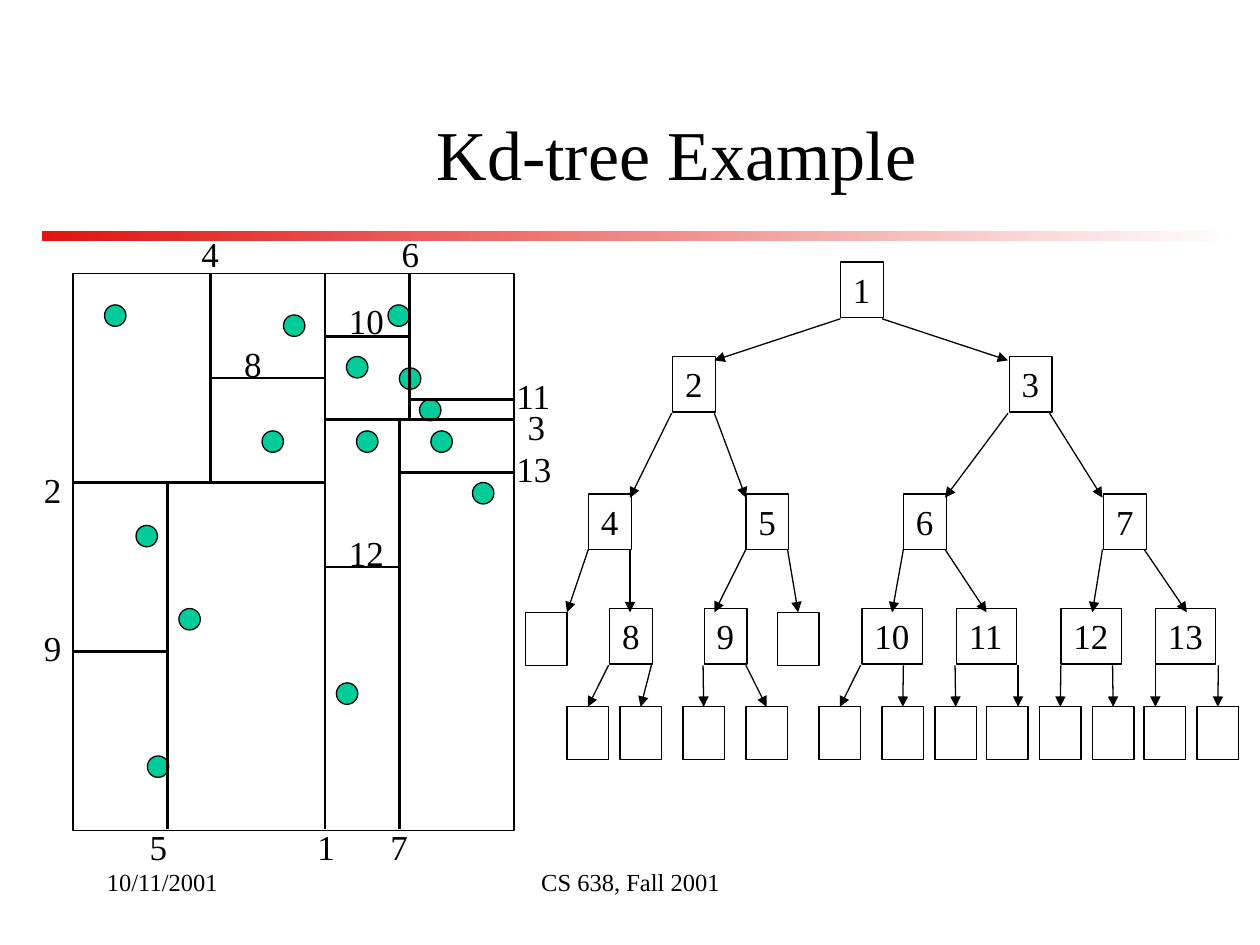
"""Build the Kd-tree example slide: a split plane on the left and its tree on the right."""
from pptx import Presentation
from pptx.dml.color import RGBColor
from pptx.enum.shapes import MSO_CONNECTOR as Connector, MSO_SHAPE as Shape
from pptx.enum.text import MSO_ANCHOR as Anchor, MSO_AUTO_SIZE as AutoSize, PP_ALIGN as Align
from pptx.oxml.ns import qn
from pptx.util import Inches, Pt
from lxml.etree import SubElement


def write(holder, text, size, align=Align.LEFT, anchor=Anchor.TOP, fit=False):
    frame = holder.text_frame
    layout = {"word_wrap": not fit, "vertical_anchor": anchor,
              "auto_size": AutoSize.SHAPE_TO_FIT_TEXT if fit else AutoSize.NONE}
    for key, value in layout.items():
        setattr(frame, key, value)
    paragraph = frame.paragraphs[0]
    paragraph.alignment = align
    run = paragraph.add_run()
    run.text = text
    for key, value in {"name": "Times New Roman", "size": Pt(size)}.items():
        setattr(run.font, key, value)
    run.font.color.rgb = RGBColor.from_string("000000")


def draw(kind, ends, weight=0.75, fill=None):
    lengths = [Inches(value) for value in ends]
    if kind is Connector.STRAIGHT:
        item = shapes.add_connector(kind, *lengths)
        SubElement(item._element.spPr, qn("a:effectLst"))
    else:
        item = shapes.add_shape(kind, *lengths)
        item.shadow.inherit = False
        if fill:
            item.fill.solid()
            item.fill.fore_color.rgb = RGBColor.from_string(fill)
        else:
            item.fill.background()
    item.line.color.rgb = RGBColor.from_string("000000")
    item.line.width = Pt(weight)
    return item


deck = Presentation()
deck.slide_width, deck.slide_height = Inches(10), Inches(7.5)
shapes = deck.slides.add_slide(deck.slide_layouts[6]).shapes

rule = draw(Shape.RECTANGLE, (0.33, 1.83, 9.5, 0.08))
rule.line.fill.background()
rule.fill.gradient()
rule.fill.gradient_angle = 0
for stop, (position, color) in zip(rule.fill.gradient_stops, [(0, "DF140F"), (1, "FFFFFF")]):
    stop.position = position
    stop.color.rgb = RGBColor.from_string(color)

captions = [
    ("Kd-tree Example", (1.33, 0.67, 8.08, 1.08), 40, Align.CENTER, Anchor.MIDDLE),
    ("CS 638, Fall 2001", (3.42, 6.83, 3.17, 0.5), 14, Align.CENTER, Anchor.TOP),
    ("10/11/2001", (0.75, 6.83, 2.08, 0.5), 14, Align.LEFT, Anchor.TOP),
]
for text, place, size, align, anchor in captions:
    write(shapes.add_textbox(*map(Inches, place)), text, size, align, anchor)

draw(Shape.RECTANGLE, (0.58, 2.17, 3.5, 4.42))
points = [(0.83, 2.42), (2.75, 2.83), (1.17, 6), (1.42, 4.83), (3.75, 3.83), (3.42, 3.42),
          (1.08, 4.17), (2.67, 5.42), (3.17, 2.92), (2.83, 3.42), (3.08, 2.42),
          (3.33, 3.17), (2.08, 3.42), (2.25, 2.5)]
for left, top in points:
    draw(Shape.OVAL, (left, top, 0.17, 0.17), fill="00CC99")

splits = {
    1: ((2.58, 2.17, 2.58, 6.58), (2.42, 6.5)),
    2: ((0.58, 3.83, 2.58, 3.83), (0.25, 3.67)),
    3: ((2.58, 3.33, 4.08, 3.33), (4.09, 3.17)),
    4: ((1.67, 2.17, 1.67, 3.83), (1.5, 1.8)),
    5: ((1.33, 3.83, 1.33, 6.58), (1.09, 6.5)),
    6: ((3.25, 2.17, 3.25, 3.33), (3.09, 1.8)),
    7: ((3.17, 3.33, 3.17, 6.58), (3, 6.5)),
    8: ((1.67, 3, 2.58, 3), (1.84, 2.67)),
    9: ((1.33, 5.17, 0.58, 5.17), (0.25, 4.92)),
    10: ((2.58, 2.67, 3.25, 2.67), (2.67, 2.33)),
    11: ((3.25, 3.17, 4.08, 3.17), (4, 2.92)),
    12: ((2.58, 4.5, 3.17, 4.5), (2.67, 4.17)),
    13: ((3.17, 3.75, 4.08, 3.75), (4, 3.5)),
}
for number, (ends, (left, top)) in splits.items():
    draw(Connector.STRAIGHT, ends, weight=1.5)
    width = 0.34 if number < 10 else 0.48
    label = shapes.add_textbox(*map(Inches, (left, top, width, 0.44)))
    write(label, str(number), 20, fit=True)

node_rows = [
    (2.08, [6.67]),
    (2.83, [5.34, 8.01]),
    (3.92, [4.67, 5.92, 7.17, 8.76]),
    (4.83, [4.84, 5.59, 6.84, 7.59, 8.42, 9.17]),
]
number = 0
for top, lefts in node_rows:
    for left in lefts:
        number += 1
        width = 0.34 if number < 10 else 0.48
        node = draw(Shape.RECTANGLE, (left, top, width, 0.44))
        write(node, str(number), 20, fit=True)

leaf_rows = [
    (4.86, [4.17, 6.17]),
    (5.61, [4.5, 4.92, 5.42, 5.92, 6.5, 7, 7.42, 7.83, 8.25, 8.67, 9.08, 9.5]),
]
leaves = [draw(Shape.RECTANGLE, (left, top, 0.33, 0.42))
          for top, lefts in leaf_rows for left in lefts]

branch_rows = [
    (2.53, 2.86, [(6.67, 5.67), (7, 8)]),
    (3.28, 3.95, [(5.33, 5), (5.67, 5.92), (8, 7.5), (8.33, 8.75)]),
    (4.36, 4.86, [(4.67, 4.5), (5, 5), (5.92, 5.67), (6.25, 6.33),
                  (7.17, 7.08), (7.5, 7.83), (8.75, 8.67), (9.08, 9.42)]),
    (5.28, 5.61, [(4.83, 4.67), (5.17, 5.08), (5.58, 5.58), (5.92, 6.08),
                  (6.83, 6.67), (7.17, 7.17), (7.58, 7.58), (8.08, 8.08),
                  (8.42, 8.42), (8.83, 8.83), (9.17, 9.17), (9.67, 9.67)]),
]
for start_y, end_y, spans in branch_rows:
    for start_x, end_x in spans:
        branch = draw(Connector.STRAIGHT, (start_x, start_y, end_x, end_y))
        SubElement(branch.line._get_or_add_ln(), qn("a:tailEnd"), type="triangle")
        for leaf in leaves:
            off_middle = abs(leaf.left + leaf.width / 2 - Inches(end_x))
            if leaf.top == Inches(end_y) and off_middle < Inches(0.02):
                branch.end_connect(leaf, 0)

deck.save("out.pptx")
